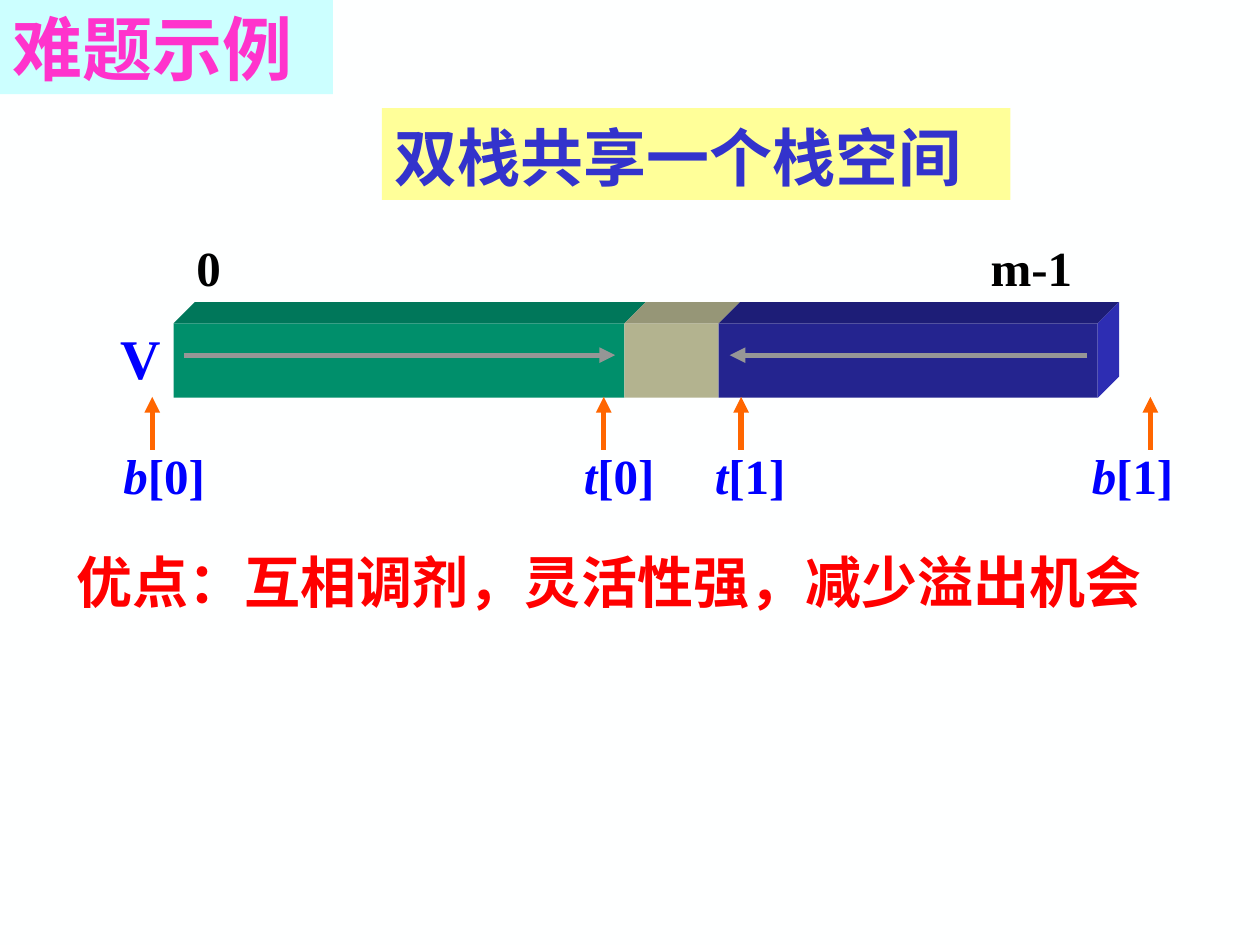
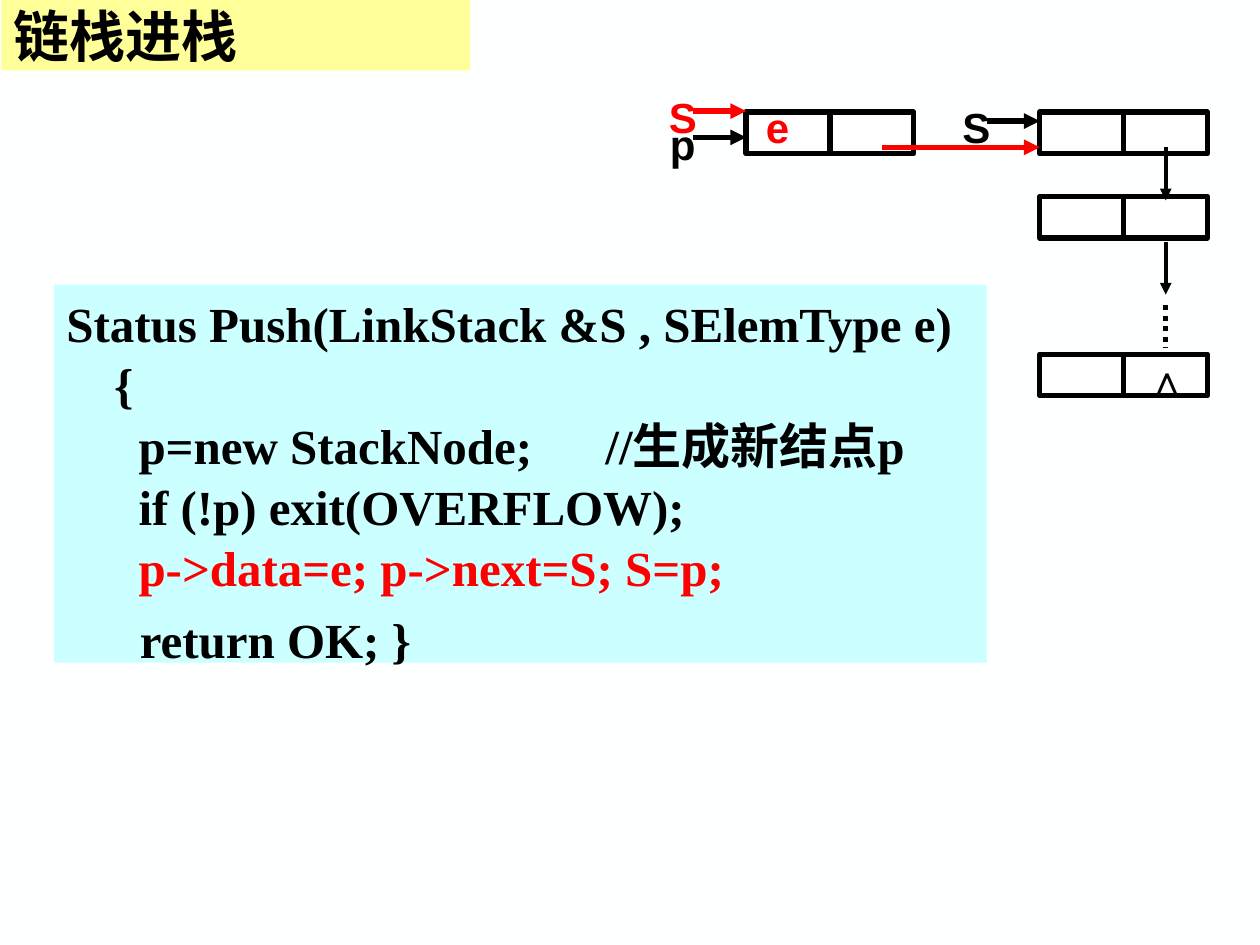
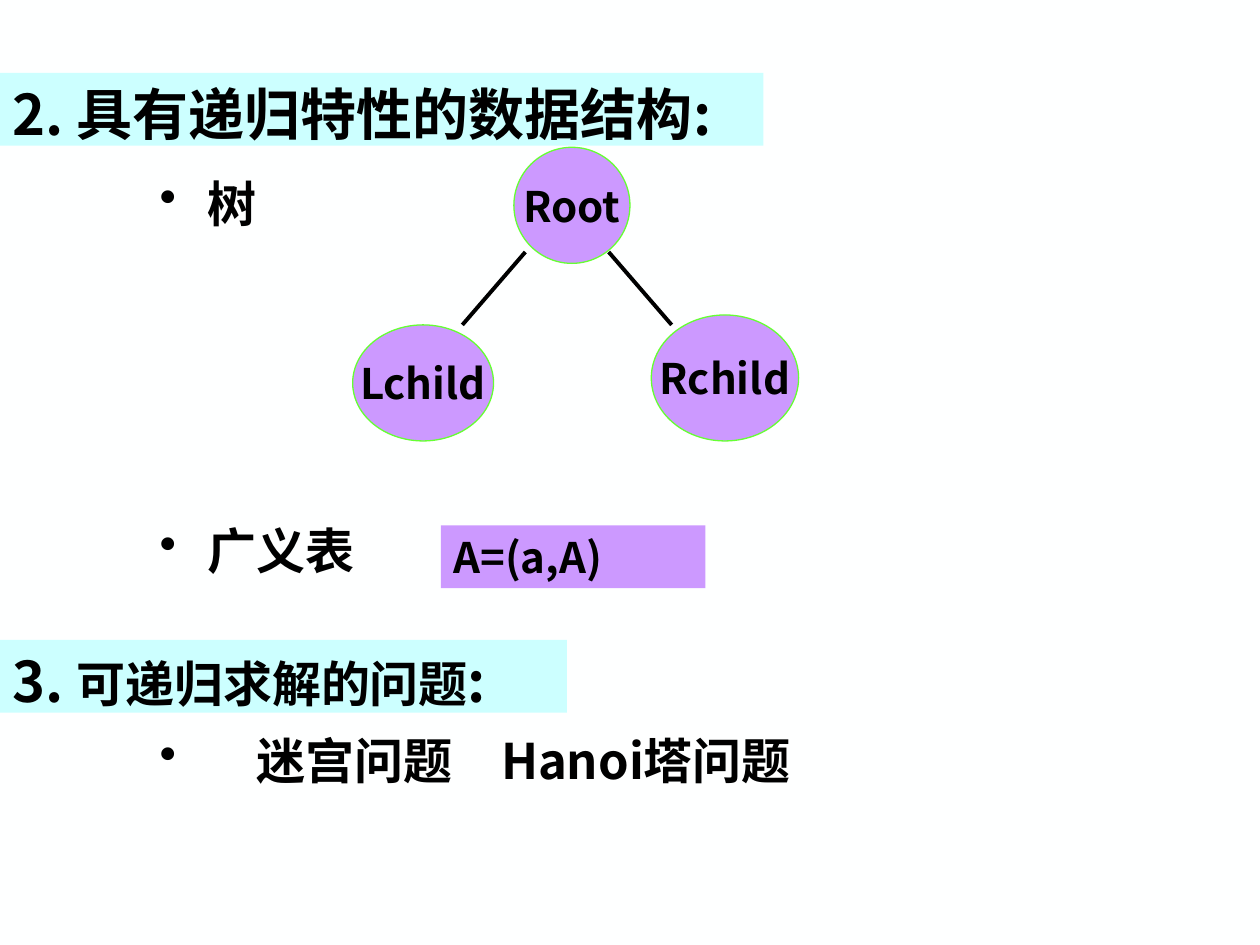
"""Build three lecture slides on stacks and recursion."""
import lxml.etree
import pptx
import pptx.dml.color
import pptx.enum.dml
import pptx.enum.shapes
import pptx.enum.text
import pptx.oxml
import pptx.oxml.ns
import pptx.util

Cm = pptx.util.Cm
SHAPES = pptx.enum.shapes.MSO_SHAPE
ANCHOR = pptx.enum.text.MSO_ANCHOR
ALIGN = pptx.enum.text.PP_ALIGN

SANS, SERIF, LABEL = "Noto Sans CJK SC", "Times New Roman", "Arial"
BLACK, WHITE, RED, BLUE = "000000", "FFFFFF", "FF0000", "0000FF"
PAPER, CYAN, YELLOW, PURPLE = "FEFFFF", "CCFFFF", "FFFF99", "CC99FF"
INDIGO, PINK, ORANGE, GRAY, LIME = "3333CC", "FF33CC", "FF6600", "969696", "66FF33"
HANG = 0.96

BAR_LEFT, BAR_TOP, BAR_HEIGHT, BAR_DEPTH = 3.5, 6.52, 1.5, 0.43
BAR_PARTS = [(9.09, "008F6B", "00775A"), (1.9, "B3B38F", "969677"), (7.64, "24248F", "1D1D77")]
BAR_END = "2D2DB3"
BAR_INDEXES = [("0", 3.71), ("m-1", 19.72)]
POINTERS = [("b", "[0]", 2.24, 3.07), ("t", "[0]", 11.52, 12.17),
            ("t", "[1]", 14.16, 14.94), ("b", "[1]", 21.76, 23.19)]
GROWTH = [(3.71, 12.4), (21.92, 14.71)]

NODE_WIDTH, NODE_HEIGHT = 3.38, 0.84
NODES = [(15.04, 2.26), (20.96, 2.26), (20.96, 3.96), (20.96, 7.14)]
LINKS = [((13.97, 2.77), (15.04, 2.77), BLACK, 3), ((23.5, 2.97), (23.5, 4.04), BLACK, 2.25),
         ((23.5, 4.88), (23.5, 5.94), BLACK, 2.25), ((19.89, 2.44), (20.96, 2.44), BLACK, 3),
         ((17.78, 2.97), (20.96, 2.97), RED, 3), ((13.97, 2.24), (15.04, 2.24), RED, 3)]
NODE_LABELS = [("p", 13.13, 2.26, BLACK), ("∧", 22.86, 7.01, BLACK), ("S", 19.05, 1.93, BLACK),
               ("e", 15.04, 1.93, RED), ("S", 13.13, 1.73, RED)]
PUSH_CODE = [
    [("Status Push(LinkStack &S , SElemType e)\n{\n  p=new StackNode;      //生成新结点p\n"
      "  if (!p) exit(OVERFLOW);\n  ", {}),
     ("p->data=e; p->next=S; S=p;", {"color": RED})],
    [("      return OK; }", {})],
]

HEADINGS = [
    ((0, 1.47, 15.39, 1.47), "2. 具有递归特性的数据结构:"),
    ((0, 12.9, 11.43, 1.47), [[("3. ", {}), ("可递归求解的问题", {"size": 28}), (":", {})]]),
]
BULLETS = [((2.97, 3.38, 7.62, 2.11), "树", HANG),
           ((2.97, 10.36, 7.62, 2.11), "广义表", HANG),
           ((2.97, 14.6, 19.74, 2.11), "迷宫问题　Hanoi塔问题", 1.95)]
TREE = [("Root", (10.36, 2.97, 2.34, 2.34)), ("Lchild", (7.11, 6.55, 2.84, 2.34)),
        ("Rchild", (13.13, 6.35, 2.97, 2.54))]
BRANCHES = [((10.59, 5.08), (9.32, 6.55)), ((12.27, 5.08), (13.54, 6.55))]


def rgb(value):
    return pptx.dml.color.RGBColor.from_string(value)


def add_part(parent, tag, **attributes):
    return lxml.etree.SubElement(parent, pptx.oxml.ns.qn(tag), **attributes)


def format_run(run, font, size, color, bold=True, italic=False):
    run.font.name = font
    run.font.size = pptx.util.Pt(size)
    run.font.bold, run.font.italic = bold, italic
    run.font.color.rgb = rgb(color)
    add_part(run.font._element, "a:ea", typeface=SANS)


def write(shape, text, font=SERIF, size=28, color=BLACK, align=ALIGN.LEFT, anchor=ANCHOR.TOP,
          wrap=True, hang=0, bullet=None, spacing=None, before=0):
    """Fill a shape with a string, or with paragraphs made of (text, format) runs."""
    frame = shape.text_frame
    frame.word_wrap, frame.vertical_anchor = wrap, anchor
    paragraphs = [[(text, {})]] if isinstance(text, str) else text
    for number, runs in enumerate(paragraphs):
        paragraph = frame.add_paragraph() if number else frame.paragraphs[0]
        paragraph.alignment = align
        if spacing:
            paragraph.line_spacing = spacing
        if number:
            paragraph.space_before = pptx.util.Pt(before)
        properties = paragraph._p.get_or_add_pPr()
        if hang:
            properties.set("marL", str(Cm(hang)))
            properties.set("indent", str(-Cm(hang)))
        if bullet:
            add_part(properties, "a:buChar", char=bullet)
        for content, changes in runs:
            style = {"font": font, "size": size, "color": color, **changes}
            for row, line in enumerate(content.split("\n")):
                if row:
                    paragraph.add_line_break()
                if line:
                    run = paragraph.add_run()
                    run.text = line
                    format_run(run, **style)


def paint(shape, fill, line=None, width=0.75):
    shape.shadow.inherit = False
    shape.fill.solid()
    shape.fill.fore_color.rgb = rgb(fill)
    if line:
        shape.line.color.rgb = rgb(line)
        shape.line.width = pptx.util.Pt(width)
    else:
        shape.line.fill.background()
    return shape


def add_box(slide, box, fill, kind=SHAPES.RECTANGLE, **outline):
    return paint(slide.shapes.add_shape(kind, *map(Cm, box)), fill, **outline)


def add_label(slide, box, text, **style):
    write(slide.shapes.add_textbox(*map(Cm, box)), text, **style)


def add_face(slide, points, fill):
    corners = [(Cm(x), Cm(y)) for x, y in points]
    outline = slide.shapes.build_freeform(*corners[0])
    outline.add_line_segments(corners[1:], close=True)
    paint(outline.convert_to_shape(), fill)


def add_line(slide, start, end, color=BLACK, width=3, arrow=False, dash=None):
    line = slide.shapes.add_connector(pptx.enum.shapes.MSO_CONNECTOR.STRAIGHT,
                                      *map(Cm, (*start, *end)))
    line.line.color.rgb = rgb(color)
    line.line.width = pptx.util.Pt(width)
    if dash:
        line.line.dash_style = dash
    if arrow:
        add_part(line.line._get_or_add_ln(), "a:tailEnd", type="triangle")
    add_part(line._element.spPr, "a:effectLst")
    return line


def add_title(slide, text, box, fill, **style):
    write(add_box(slide, box, fill), text, font=SANS, anchor=ANCHOR.MIDDLE, **style)


def add_slide(deck):
    slide = deck.slides.add_slide(deck.slide_layouts[6])
    slide.background.fill.solid()
    slide.background.fill.fore_color.rgb = rgb(PAPER)
    return slide


def build_shared_stack(slide):
    add_title(slide, "难题示例", (0, 0, 6.71, 1.9), CYAN, size=40, color=PINK)
    left, back = BAR_LEFT, BAR_TOP - BAR_DEPTH
    for width, front, top in BAR_PARTS:
        right = left + width
        add_box(slide, (left, BAR_TOP, width, BAR_HEIGHT), front)
        add_face(slide, [(left, BAR_TOP), (left + BAR_DEPTH, back),
                         (right + BAR_DEPTH, back), (right, BAR_TOP)], top)
        left = right
    bottom = BAR_TOP + BAR_HEIGHT
    add_face(slide, [(left, BAR_TOP), (left + BAR_DEPTH, back),
                     (left + BAR_DEPTH, bottom - BAR_DEPTH), (left, bottom)], BAR_END)
    for start, end in GROWTH:
        add_line(slide, (start, 7.16), (end, 7.16), GRAY, arrow=True)
    for name, index, label_left, x in POINTERS:
        add_line(slide, (x, 9.07), (x, 8), ORANGE, arrow=True)
        add_label(slide, (label_left, 8.86, 2.6, 1.45),
                  [[(name, {"italic": True}), (index, {})]], color=BLUE)
    for index, label_left in BAR_INDEXES:
        add_label(slide, (label_left, 4.67, 2.6, 1.45), index)
    add_label(slide, (2.18, 6.4, 1.4, 1.6), "V", size=32, color=BLUE)
    write(add_box(slide, (7.7, 2.18, 12.67, 1.85), YELLOW), "双栈共享一个栈空间",
          size=36, color=INDIGO, spacing=1.05)
    add_label(slide, (1.3, 10.92, 22.66, 1.6), "优点：互相调剂，灵活性强，减少溢出机会",
              size=32, color=RED)


def build_linked_push(slide):
    add_title(slide, "链栈进栈", (0.03, 0, 9.45, 1.42), YELLOW, size=32)
    for left, top in NODES:
        node = add_box(slide, (left, top, NODE_WIDTH, NODE_HEIGHT), WHITE, line=BLACK, width=3)
        middle = left + NODE_WIDTH / 2
        divider = add_line(slide, (middle, top), (middle, top + NODE_HEIGHT))
        divider.begin_connect(node, 0)
        divider.end_connect(node, 2)
    for start, end, color, width in LINKS:
        add_line(slide, start, end, color, width, arrow=True)
    add_line(slide, (23.5, 6.15), (23.5, 7.01), dash=pptx.enum.dml.MSO_LINE.ROUND_DOT)
    for text, left, top, color in NODE_LABELS:
        add_label(slide, (left, top, 1.27, 1.27), text, font=LABEL, size=24, color=color,
                  align=ALIGN.CENTER)
    write(add_box(slide, (1.09, 5.74, 18.8, 7.62), CYAN), PUSH_CODE,
          hang=HANG, spacing=1.04, before=6)


def build_recursion(slide):
    for box, text in HEADINGS:
        write(add_box(slide, box, CYAN), text, font=SANS, size=32)
    for box, text, hang in BULLETS:
        add_label(slide, box, text, font=SANS, hang=hang, bullet="•")
    for name, box in TREE:
        write(add_box(slide, box, PURPLE, SHAPES.OVAL, line=LIME), name, font=SANS, size=24,
              align=ALIGN.CENTER, anchor=ANCHOR.MIDDLE, wrap=False)
    for start, end in BRANCHES:
        add_line(slide, start, end, width=2.25)
    write(add_box(slide, (8.89, 10.59, 5.33, 1.27), PURPLE), "A=(a,A)", font=SANS, size=24)


def main():
    deck = pptx.Presentation()
    deck.slide_width, deck.slide_height = Cm(25.4), Cm(19.05)
    for build in (build_shared_stack, build_linked_push, build_recursion):
        build(add_slide(deck))
    deck.save("out.pptx")


if __name__ == "__main__":
    main()
